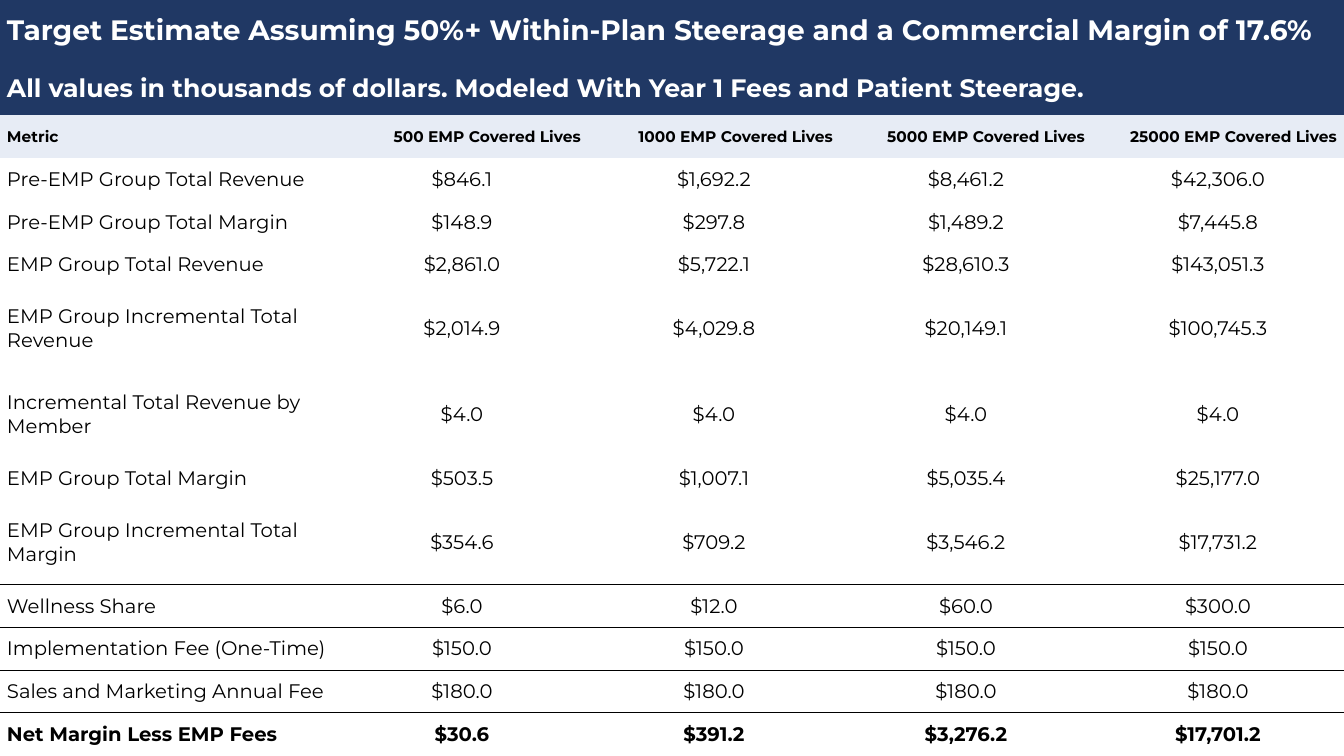
from lxml import etree
from pptx import Presentation
from pptx.dml.color import RGBColor
from pptx.enum import text
from pptx.oxml import ns
from pptx.util import Pt

NAVY = RGBColor(0x20, 0x38, 0x64)
PALE = RGBColor(0xE7, 0xEC, 0xF5)
WHITE = RGBColor(0xFF, 0xFF, 0xFF)
BLACK = RGBColor(0, 0, 0)
FONT = "Montserrat"
NO_STYLE = "{2D5ABB26-0587-4C30-8999-92F81FD0307C}"
LEFT, CENTER, RIGHT = text.PP_ALIGN.LEFT, text.PP_ALIGN.CENTER, text.PP_ALIGN.RIGHT

COLUMN_WIDTHS = [240] + [180] * 4
ROW_HEIGHT = 30.5
BANNERS = [
    ("Target Estimate Assuming 50%+ Within-Plan Steerage and a Commercial Margin of 17.6%", 20, 43.5),
    ("All values in thousands of dollars. Modeled With Year 1 Fees and Patient Steerage.", 18, 39),
]
HEADER = ["Metric"] + [f"{lives} EMP Covered Lives" for lives in (500, 1000, 5000, 25000)]
METRICS = [
    ("Pre-EMP Group Total Revenue", 846.1, 1692.2, 8461.2, 42306.0),
    ("Pre-EMP Group Total Margin", 148.9, 297.8, 1489.2, 7445.8),
    ("EMP Group Total Revenue", 2861.0, 5722.1, 28610.3, 143051.3),
    ("EMP Group Incremental Total Revenue", 2014.9, 4029.8, 20149.1, 100745.3),
    ("Incremental Total Revenue by Member", 4.0, 4.0, 4.0, 4.0),
    ("EMP Group Total Margin", 503.5, 1007.1, 5035.4, 25177.0),
    ("EMP Group Incremental Total Margin", 354.6, 709.2, 3546.2, 17731.2),
    ("Wellness Share", 6.0, 12.0, 60.0, 300.0),
    ("Implementation Fee (One-Time)", 150.0, 150.0, 150.0, 150.0),
    ("Sales and Marketing Annual Fee", 180.0, 180.0, 180.0, 180.0),
    ("Net Margin Less EMP Fees", 30.6, 391.2, 3276.2, 17701.2),
]
TALL = {METRICS[i][0] for i in (3, 4, 6)}
RULE_BELOW = {"EMP Group Incremental Total Margin", "Implementation Fee (One-Time)"}
RULE_ABOVE = {"Wellness Share", "Sales and Marketing Annual Fee"}
TOTAL = "Net Margin Less EMP Fees"


def fill_cell(cell, words, size, align=LEFT, bold=False, color=BLACK, fill=None):
    cell.margin_left = cell.margin_right = cell.margin_top = cell.margin_bottom = Pt(5)
    cell.vertical_anchor = text.MSO_ANCHOR.MIDDLE
    if fill is None:
        cell.fill.background()
    else:
        cell.fill.solid()
        cell.fill.fore_color.rgb = fill
    p = cell.text_frame.paragraphs[0]
    p.text = words
    p.alignment = align
    font = p.runs[0].font
    font.name, font.size, font.bold = FONT, Pt(size), bold
    font.color.rgb = color


def add_rule(cell, side):
    ln = etree.Element(ns.qn(f"a:{side}"), w=str(Pt(1)))
    solid = etree.SubElement(ln, ns.qn("a:solidFill"))
    etree.SubElement(solid, ns.qn("a:srgbClr"), val=str(BLACK))
    cell._tc.get_or_add_tcPr().insert(0, ln)


def add_plain_table(slide, heights):
    frame = slide.shapes.add_table(
        len(heights), len(COLUMN_WIDTHS), 0, 0, Pt(sum(COLUMN_WIDTHS)), Pt(sum(heights)))
    table = frame.table
    table.first_row = table.horz_banding = False
    table._tbl.tblPr.find(ns.qn("a:tableStyleId")).text = NO_STYLE
    for column, width in zip(table.columns, COLUMN_WIDTHS):
        column.width = Pt(width)
    for row, height in zip(table.rows, heights):
        row.height = Pt(height)
    return table


def add_banner(table, row, words, size):
    table.cell(row, 0).merge(table.cell(row, len(COLUMN_WIDTHS) - 1))
    fill_cell(table.cell(row, 0), words, size, bold=True, color=WHITE, fill=NAVY)


def add_header(table, row):
    for col, words in enumerate(HEADER):
        fill_cell(table.cell(row, col), words, 11, RIGHT if col else LEFT, True, fill=PALE)


def add_metric(table, row, name, values):
    for col, words in enumerate([name] + [f"${value:,.1f}" for value in values]):
        cell = table.cell(row, col)
        fill_cell(cell, words, 14, CENTER if col else LEFT, name == TOTAL)
        if name in RULE_BELOW:
            add_rule(cell, "lnB")
        if name in RULE_ABOVE:
            add_rule(cell, "lnT")


def main():
    prs = Presentation()
    prs.slide_width, prs.slide_height = Pt(960), Pt(540)
    s = prs.slides.add_slide(prs.slide_layouts[6])
    heights = [height for _, _, height in BANNERS] + [ROW_HEIGHT]
    heights += [ROW_HEIGHT * (2 if name in TALL else 1) for name, *_ in METRICS]
    table = add_plain_table(s, heights)
    for row, (words, size, _) in enumerate(BANNERS):
        add_banner(table, row, words, size)
    add_header(table, len(BANNERS))
    for row, (name, *values) in enumerate(METRICS, len(BANNERS) + 1):
        add_metric(table, row, name, values)
    prs.save("out.pptx")


if __name__ == "__main__":
    main()
